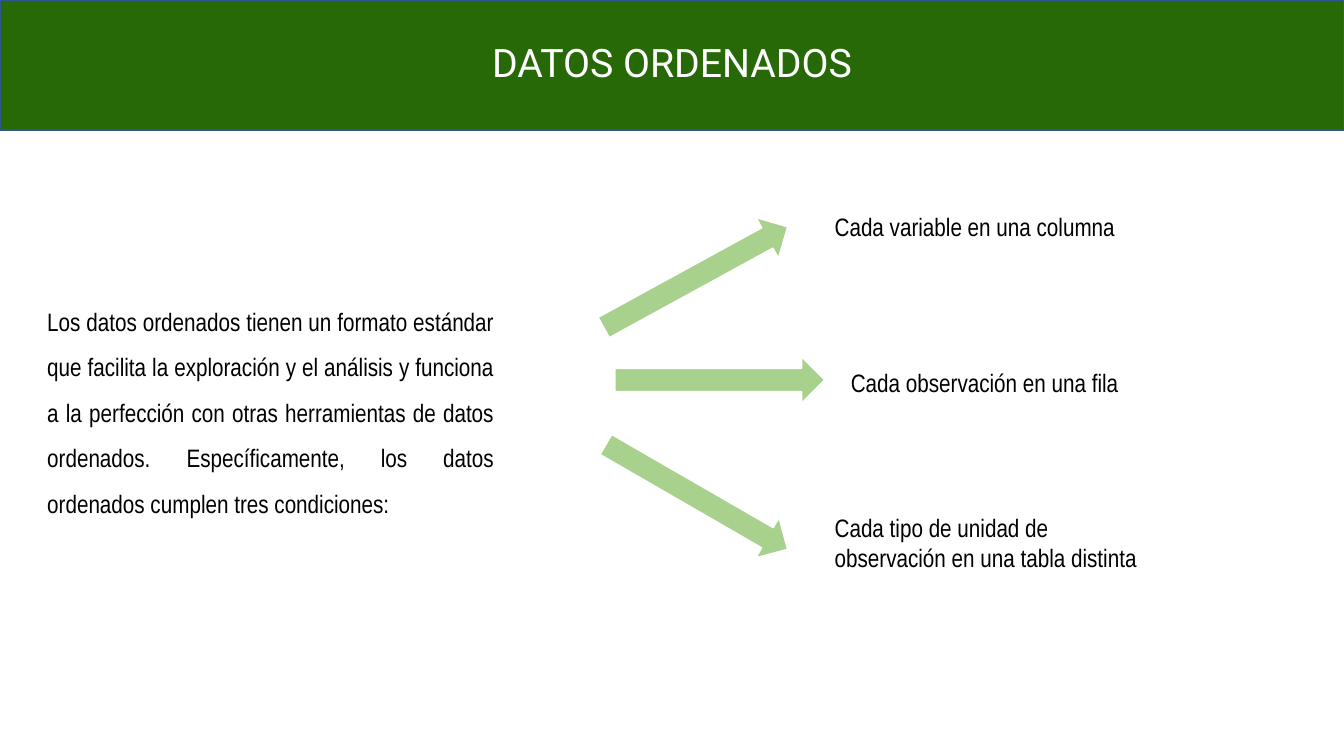
from dataclasses import dataclass

from pptx import Presentation
from pptx.dml.color import RGBColor
from pptx.enum.shapes import MSO_SHAPE
from pptx.enum.text import MSO_ANCHOR, MSO_AUTO_SIZE, PP_ALIGN
from pptx.util import Inches, Pt

WIDTH, HEIGHT = 13.33, 7.5
COLORS = {"banner": "286907", "edge": "325491", "arrow": "A9D18E",
          "white": "FFFFFF", "black": "000000"}
ARROW_SIZE = (2.08 / WIDTH, 0.46 / HEIGHT)
LABEL_WIDTH = 3.24 / WIDTH


@dataclass(frozen=True)
class Area:
    left: float
    top: float
    width: float
    height: float

    def lengths(self) -> tuple:
        return (Inches(self.left * WIDTH), Inches(self.top * HEIGHT),
                Inches(self.width * WIDTH), Inches(self.height * HEIGHT))


@dataclass(frozen=True)
class Condition:
    text: str
    arrow: Area
    rotation: float
    label: Area


def color(name: str) -> RGBColor:
    return RGBColor.from_string(COLORS[name])


def write(box, text: str, size: int, font: str, ink: str, **layout) -> None:
    frame = box.text_frame
    frame.word_wrap = True
    para = frame.paragraphs[0]
    for name, value in layout.items():
        setattr(para, name, value)
    span = para.add_run()
    span.text = text
    for name, value in {"size": Pt(size), "name": font}.items():
        setattr(span.font, name, value)
    span.font.color.rgb = color(ink)


def add_block(page, kind: MSO_SHAPE, area: Area, fill: str, line: str, rotation: float = 0):
    block = page.shapes.add_shape(kind, *area.lengths())
    block.shadow.inherit = False
    block.rotation = rotation
    block.fill.solid()
    block.fill.fore_color.rgb = color(fill)
    block.line.color.rgb = color(line)
    block.line.width = Pt(1)
    return block


def add_text(page, area: Area, text: str, **layout) -> None:
    box = page.shapes.add_textbox(*area.lengths())
    write(box, text, 18, "Arial Narrow", "black", **layout)
    box.text_frame.auto_size = MSO_AUTO_SIZE.SHAPE_TO_FIT_TEXT


def add_condition(page, condition: Condition) -> None:
    add_block(page, MSO_SHAPE.RIGHT_ARROW, condition.arrow, "arrow", "white", condition.rotation)
    add_text(page, condition.label, condition.text)


def arrow_at(left: float, top: float) -> Area:
    return Area(left / WIDTH, top / HEIGHT, *ARROW_SIZE)


def label_at(left: float, top: float, height: float) -> Area:
    return Area(left / WIDTH, top / HEIGHT, LABEL_WIDTH, height / HEIGHT)


CONDITIONS = [
    Condition("Cada variable en una columna",
              arrow_at(5.86, 2.52), 331.3, label_at(8.18, 2.05, 0.4)),
    Condition("Cada observación en una fila",
              arrow_at(6.1, 3.54), 0, label_at(8.34, 3.59, 0.4)),
    Condition("Cada tipo de unidad de observación en una tabla distinta",
              arrow_at(5.87, 4.7), 30, label_at(8.18, 5.03, 0.71)),
]

deck = Presentation()
deck.slide_width, deck.slide_height = Inches(WIDTH), Inches(HEIGHT)
page = deck.slides.add_slide(deck.slide_layouts[6])

banner = add_block(page, MSO_SHAPE.RECTANGLE, Area(0, 0, 1, 1.29 / HEIGHT), "banner", "edge")
banner.text_frame.vertical_anchor = MSO_ANCHOR.MIDDLE
write(banner, "DATOS ORDENADOS", 28, "Roboto", "white",
      alignment=PP_ALIGN.CENTER, line_spacing=0.9)

add_text(page, Area(0.37 / WIDTH, 2.84 / HEIGHT, 4.63 / WIDTH, 2.31 / HEIGHT),
         "Los datos ordenados tienen un formato estándar que facilita la exploración "
         "y el análisis y funciona a la perfección con otras herramientas de datos "
         "ordenados. Específicamente, los datos ordenados cumplen tres condiciones:",
         alignment=PP_ALIGN.JUSTIFY, line_spacing=1.5)

for condition in CONDITIONS:
    add_condition(page, condition)

deck.save("out.pptx")
